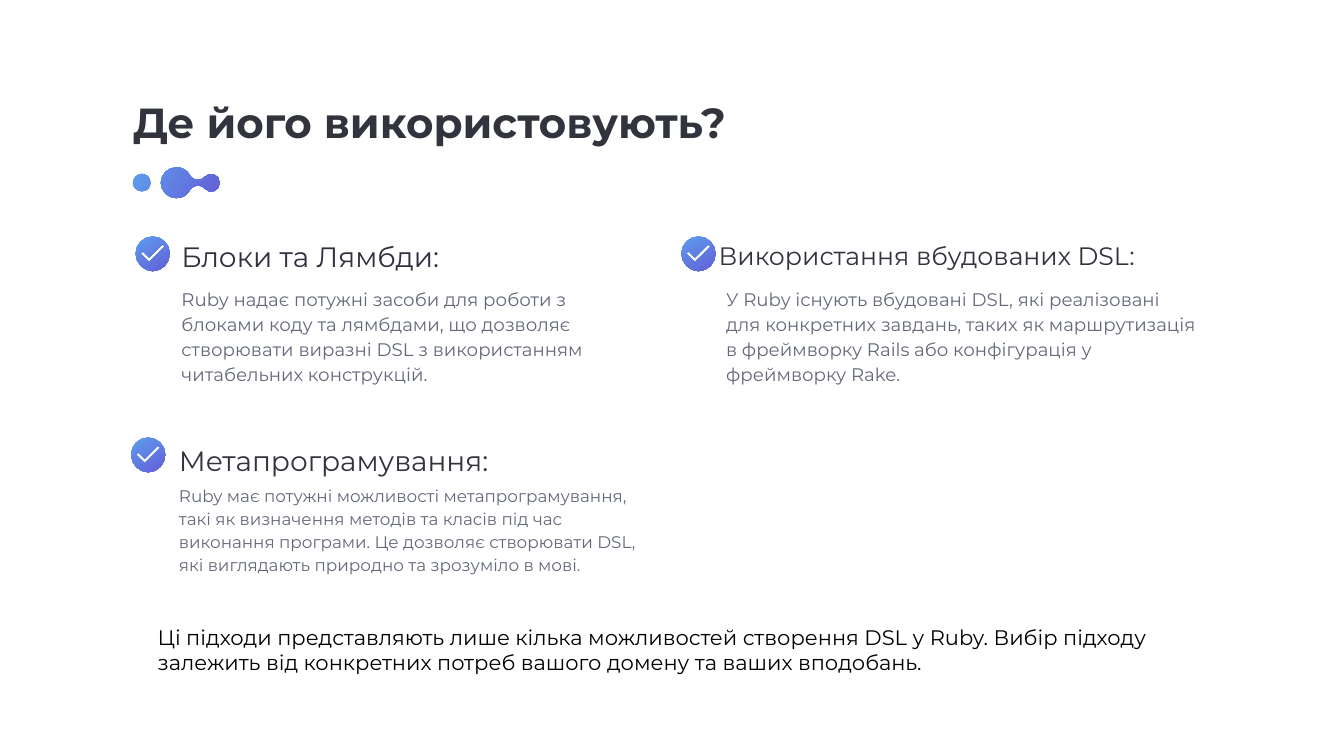
import pptx
import pptx.dml.color
import pptx.enum.text
import pptx.util

PX = 9144  # 100 px to the inch
FONT = "Montserrat"
DARK, GREY = "31333D", "646979"
TOP = pptx.enum.text.MSO_ANCHOR.TOP
MID = pptx.enum.text.MSO_ANCHOR.MIDDLE

# Each outline is a start point and the Bezier curves that follow it.
LINK = (351, 332), [
    (334, 331, 319, 345, 319, 363), (319, 379, 333, 393, 349, 393),
    (361, 394, 372, 387, 377, 377), (380, 373, 384, 370, 388, 369),
    (395, 367, 401, 369, 406, 374), (416, 386, 436, 379, 436, 363),
    (436, 346, 416, 339, 406, 351), (402, 355, 397, 357, 392, 357),
    (386, 357, 380, 353, 377, 348), (372, 338, 362, 332, 351, 332)]
DOT = (281, 345), [
    (277, 345, 272, 347, 269, 350), (262, 357, 262, 368, 269, 375),
    (276, 381, 287, 381, 294, 375), (300, 368, 300, 357, 294, 350),
    (290, 347, 286, 345, 281, 345)]
DISC = (34, 0), [
    (15, 0, 0, 15, 0, 34), (0, 53, 16, 69, 34, 69),
    (53, 69, 68, 53, 68, 34), (68, 15, 52, 0, 34, 0)]
TICK = [(27, 51), (10, 34), (15, 30), (27, 42), (53, 16), (58, 20)]

ITEMS = [
    dict(badge=(269, 469), head=(354, 464, 723, 79), body=(354, 559, 947, 206),
         name="Блоки та Лямбди:", tint="2F313F", sizes=(40, 26),
         text="Ruby надає потужні засоби для роботи з блоками коду та лямбдами, "
              "що дозволяє створювати виразні DSL з використанням читабельних "
              "конструкцій."),
    dict(badge=(1352, 469), head=(1420, 467, 947, 72), body=(1435, 559, 947, 206),
         name="Використання вбудованих DSL:", tint=DARK, sizes=(36, 26),
         text="У Ruby існують вбудовані DSL, які реалізовані для конкретних "
              "завдань, таких як маршрутизація в фреймворку Rails або "
              "конфігурація у фреймворку Rake."),
    dict(badge=(260, 868), head=(349, 868, 752, 79), body=(349, 951, 947, 191),
         name="Метапрограмування:", tint=DARK, sizes=(40, 24),
         text="Ruby має потужні можливості метапрограмування, такі як "
              "визначення методів та класів під час виконання програми. "
              "Це дозволяє створювати DSL, які виглядають природно та "
              "зрозуміло в мові."),
]


def px(*nums):
    return [round(n * PX) for n in nums]


def color(code):
    return pptx.dml.color.RGBColor.from_string(code)


def write(shape, text, size, tint, bold=False, anchor=TOP, inset=6,
          line=None, gap=0):
    frame = shape.text_frame
    frame.word_wrap = True
    frame.auto_size = pptx.enum.text.MSO_AUTO_SIZE.SHAPE_TO_FIT_TEXT
    frame.vertical_anchor = anchor
    frame.margin_left = frame.margin_right = inset * PX
    frame.margin_top = frame.margin_bottom = inset * PX
    para = frame.paragraphs[0]
    para.alignment = pptx.enum.text.PP_ALIGN.LEFT
    para.space_before = para.space_after = pptx.util.Pt(gap)
    if line:
        para.line_spacing = line
    run = para.add_run()
    run.text = text
    run.font.name = FONT
    run.font.size = pptx.util.Pt(size)
    run.font.bold = bold
    run.font.color.rgb = color(tint)


def blend(shape, angle):
    """Fill with the blue to violet gradient, angle clockwise."""
    shape.shadow.inherit = False
    shape.line.fill.background()
    shape.fill.gradient()
    shape.fill.gradient_angle = 360 - angle
    for stop, code, place in zip(shape.fill.gradient_stops,
                                 ("5E9EEE", "635ED6"), (0, 1)):
        stop.color.rgb = color(code)
        stop.position = place


def trace(start, curves, steps=4):
    """Return points along a chain of Bezier curves."""
    spots = [start]
    for x1, y1, x2, y2, x3, y3 in curves:
        x0, y0 = spots[-1]
        for i in range(1, steps + 1):
            t = i / steps
            u = 1 - t
            a, b, c, d = u ** 3, 3 * u * u * t, 3 * u * t * t, t ** 3
            spots.append((a * x0 + b * x1 + c * x2 + d * x3,
                          a * y0 + b * y1 + c * y2 + d * y3))
    return spots[:-1]


def outline(slide, *loops, left=0, top=0):
    """Draw closed loops as one shape; an inner loop is a hole."""
    loops = [[px(left + x, top + y) for x, y in loop] for loop in loops]
    pen = slide.shapes.build_freeform(*loops[0][0], scale=1.0)
    for i, loop in enumerate(loops):
        if i:
            pen.move_to(*loop[0])
        pen.add_line_segments(loop[1:], close=True)
    return pen.convert_to_shape()


def header(slide, box, text):
    title = slide.shapes.title
    title.left, title.top, title.width, title.height = px(*box)
    write(title, text, 60, DARK, bold=True, anchor=MID)
    blend(outline(slide, trace(*LINK), trace(*DOT)), 34)


def item(slide, entry):
    big, small = entry["sizes"]
    left, top = entry["badge"]
    write(slide.shapes.add_textbox(*px(*entry["body"])), entry["text"],
          small, GREY, line=1.15, gap=12)
    write(slide.shapes.add_textbox(*px(*entry["head"])), entry["name"],
          big, entry["tint"], anchor=MID, line=1.15, gap=12)
    blend(outline(slide, trace(*DISC), TICK, left=left, top=top), 57)


def closing(slide, box):
    write(slide.shapes.add_textbox(*px(*box)),
          "Ці підходи представляють лише кілька можливостей створення DSL у "
          "Ruby. Вибір підходу залежить від конкретних потреб вашого домену "
          "та ваших вподобань.", 30, "000000", inset=10)


def main():
    deck = pptx.Presentation()
    deck.slide_width, deck.slide_height = px(2667, 1500)
    slide = deck.slides.add_slide(deck.slide_layouts[5])
    header(slide, (258, 186, 1318, 112), "Де його використовують?")
    for entry in ITEMS:
        item(slide, entry)
    closing(slide, (303, 1229, 2165, 121))
    deck.save("out.pptx")


if __name__ == "__main__":
    main()
